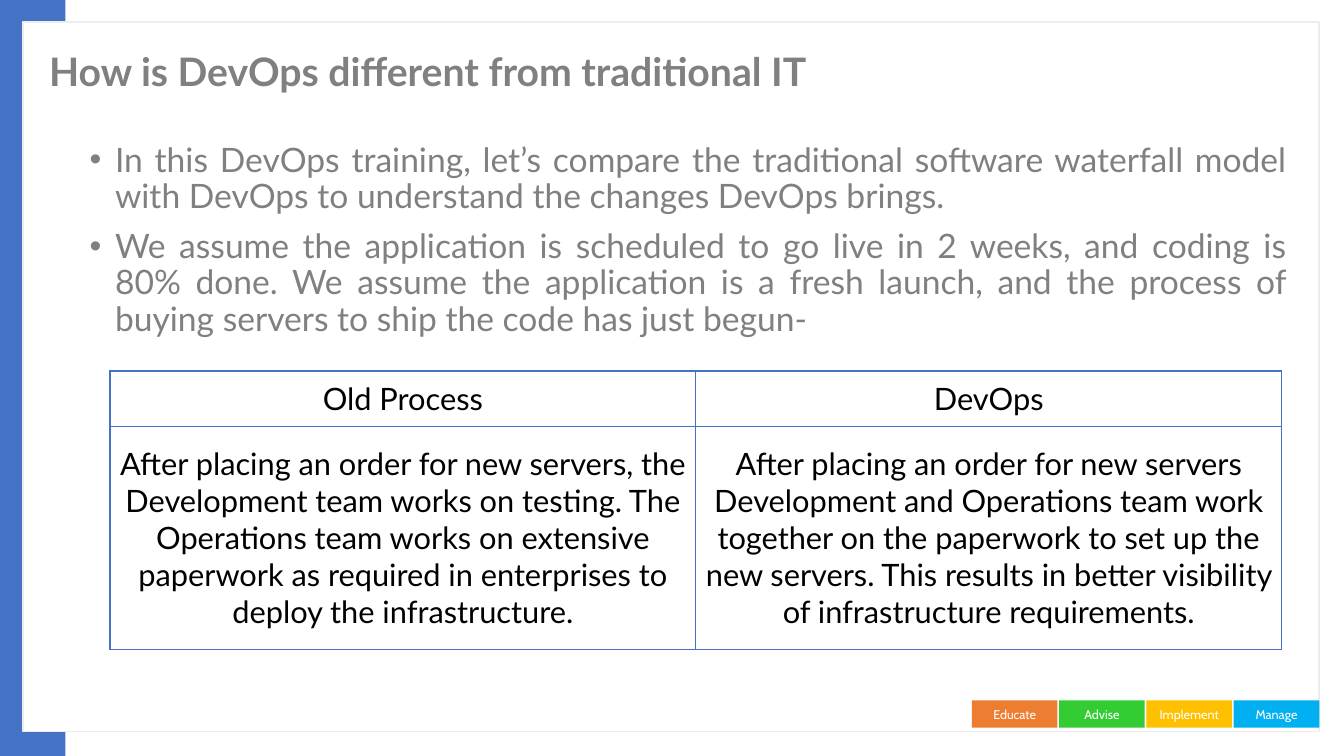
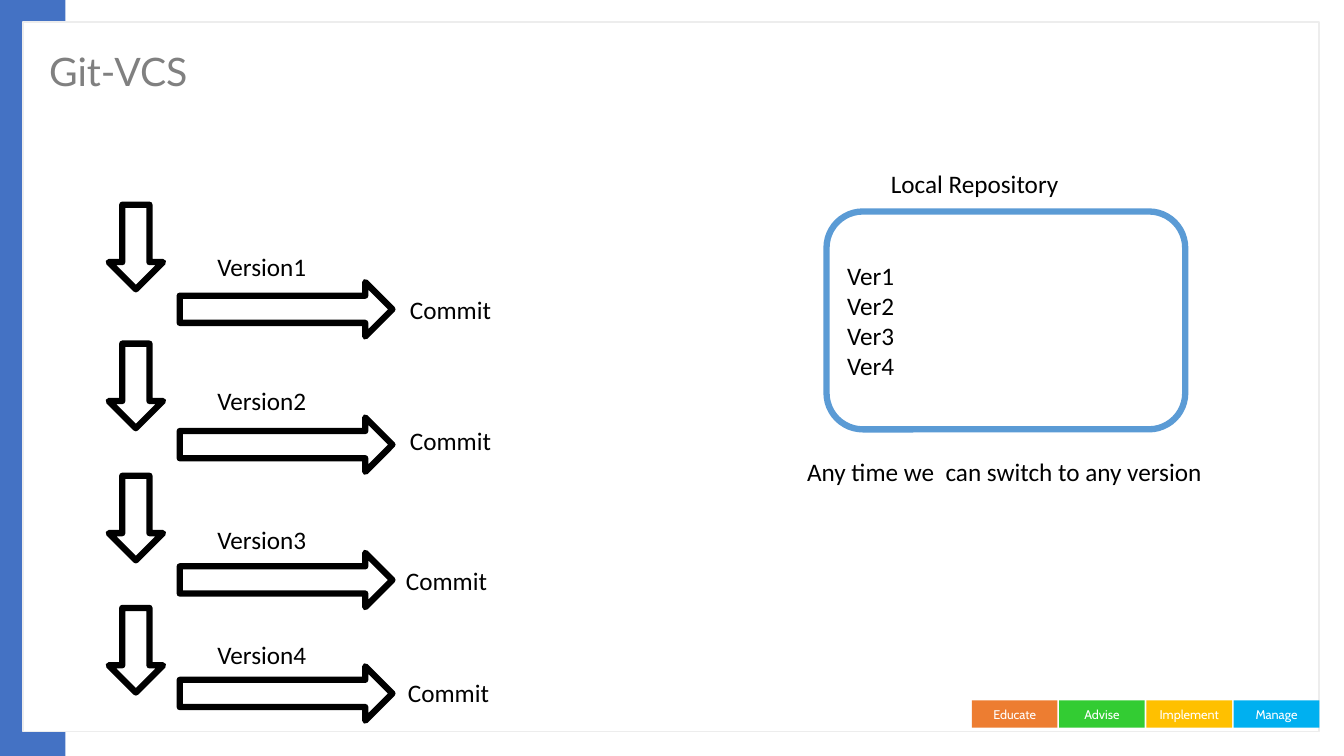
from dataclasses import dataclass

from lxml import etree
from pptx import Presentation, util as u
from pptx.dml.color import RGBColor
from pptx.enum import shapes, text
from pptx.oxml import ns

Cm, Pt = u.Cm, u.Pt
SHAPE, ALIGN, ANCHOR = shapes.MSO_SHAPE, text.PP_ALIGN, text.MSO_ANCHOR

# Content
COMPARE_TITLE = "How is DevOps different from traditional IT"
COMPARE_POINTS = [
    "In this DevOps training, let’s compare the traditional software waterfall model "
    "with DevOps to understand the changes DevOps brings.",
    "We assume the application is scheduled to go live in 2 weeks, and coding is 80% done. "
    "We assume the application is a fresh launch, and the process of buying servers to ship "
    "the code has just begun-",
]
PROCESSES = [
    ("Old Process", "DevOps"),
    ("After placing an order for new servers, the Development team works on testing. "
     "The Operations team works on extensive paperwork as required in enterprises to "
     "deploy the infrastructure.",
     "After placing an order for new servers Development and Operations team work together "
     "on the paperwork to set up the new servers. This results in better visibility of "
     "infrastructure requirements."),
]
PROCESS_HEIGHTS = [1.4, 5.61]

GIT_TITLE = "Git-VCS"
# version, top of its down arrow, label, commit arrow; left and top of "Commit"
VERSIONS = [
    ("Version1", 5.16, 6.22, 7.11, 10.08, 7.29),
    ("Version2", 8.66, 9.58, 10.52, 10.08, 10.59),
    ("Version3", 11.99, 13.08, 13.93, 9.98, 14.12),
    ("Version4", 15.32, 15.98, 16.79, 10.03, 16.94),
]
STORED = ["Ver1", "Ver2", "Ver3", "Ver4"]
REPOSITORY = "Local Repository"
SWITCH_NOTE = "Any time we  can switch to any version"

TAGS = [("Educate", "ED7D31"), ("Advise", "33CC33"),
        ("Implement", "FFC000"), ("Manage", "00B0F0")]


@dataclass(frozen=True)
class Theme:
    accent: str = "4472C4"
    repository: str = "5B9BD5"
    frame: str = "EDEDED"
    grey: str = "808080"
    black: str = "000000"
    white: str = "FFFFFF"
    main_font: str = "Lato"
    diagram_font: str = "Calibri"
    tag_font: str = "Cabin"
    title: float = 28
    body: float = 24
    table: float = 22
    diagram: float = 18
    tag: float = 9
    heavy: float = 4.5


T = Theme()
TITLE_STYLE = (T.main_font, T.title, T.grey)
BODY_STYLE = (T.main_font, T.body, T.grey)
TABLE_STYLE = (T.main_font, T.table, T.black)
DIAGRAM_STYLE = (T.diagram_font, T.diagram, T.black)
TAG_STYLE = (T.tag_font, T.tag, T.white)


# Helpers
def rgb(code):
    return RGBColor.from_string(code)


def write(frame, lines, style, align=ALIGN.LEFT, anchor=ANCHOR.TOP, bold=False):
    font, size, color = style
    frame.word_wrap = True
    frame.vertical_anchor = anchor
    for i, line in enumerate(lines):
        paragraph = frame.add_paragraph() if i else frame.paragraphs[0]
        paragraph.alignment = align
        run = paragraph.add_run()
        run.text = line
        run.font.name, run.font.size, run.font.bold = font, Pt(size), bold
        run.font.color.rgb = rgb(color)
    return frame.paragraphs


def add_text(slide, box, lines, style, **options):
    label = slide.shapes.add_textbox(*map(Cm, box))
    return write(label.text_frame, lines, style, **options)


def add_block(slide, kind, box, fill, line=None, width=1):
    block = slide.shapes.add_shape(kind, *map(Cm, box))
    block.shadow.inherit = False
    block.fill.solid()
    block.fill.fore_color.rgb = rgb(fill)
    if line:
        block.line.color.rgb = rgb(line)
        block.line.width = Pt(width)
    else:
        block.line.fill.background()
    return block


def add_bullet(paragraph):
    props = paragraph._p.get_or_add_pPr()
    props.set("marL", str(Cm(0.64)))
    props.set("indent", str(-Cm(0.64)))
    etree.SubElement(props, ns.qn("a:buFont"), typeface="Arial")
    etree.SubElement(props, ns.qn("a:buChar"), char="•")


def outline_cell(cell, color):
    props = cell._tc.get_or_add_tcPr()
    for i, side in enumerate(("lnL", "lnR", "lnT", "lnB")):
        border = etree.Element(ns.qn("a:" + side), w=str(Pt(1)))
        fill = etree.SubElement(border, ns.qn("a:solidFill"))
        etree.SubElement(fill, ns.qn("a:srgbClr"), val=color)
        props.insert(i, border)


# Shared slide: side band, frame, footer tags and title
def new_slide(deck, title, bold=False):
    slide = deck.slides.add_slide(deck.slide_layouts[6])
    add_block(slide, SHAPE.RECTANGLE, (0, 0, 1.65, 19.05), T.accent)
    add_block(slide, SHAPE.RECTANGLE, (0.58, 0.56, 32.66, 17.88), T.white, T.frame)
    for i, (name, color) in enumerate(TAGS):
        tag = add_block(slide, SHAPE.RECTANGLE, (24.49 + i * 2.2, 17.65, 2.16, 0.69), color)
        write(tag.text_frame, [name], TAG_STYLE, ALIGN.CENTER, ANCHOR.MIDDLE)
    heading, = add_text(slide, (0.99, 0.76, 26.21, 2.21), [title], TITLE_STYLE,
                        anchor=ANCHOR.MIDDLE, bold=bold)
    heading.line_spacing = 0.9
    return slide


def build_comparison(deck):
    slide = new_slide(deck, COMPARE_TITLE, bold=True)
    for point in add_text(slide, (2.01, 3.48, 30.66, 5.6), COMPARE_POINTS, BODY_STYLE,
                          align=ALIGN.JUSTIFY):
        point.line_spacing = 0.9
        point.space_before = Pt(10)
        add_bullet(point)

    # Process table
    table = slide.shapes.add_table(len(PROCESSES), len(PROCESSES[0]), Cm(2.77), Cm(9.35),
                                   Cm(29.53), Cm(sum(PROCESS_HEIGHTS))).table
    table.first_row = table.horz_banding = False
    for r, (row, height) in enumerate(zip(PROCESSES, PROCESS_HEIGHTS)):
        table.rows[r].height = Cm(height)
        for c, words in enumerate(row):
            cell = table.cell(r, c)
            cell.fill.background()
            write(cell.text_frame, [words], TABLE_STYLE, ALIGN.CENTER)
            cell.vertical_anchor = ANCHOR.MIDDLE
            outline_cell(cell, T.accent)


def build_versions(deck):
    slide = new_slide(deck, GIT_TITLE)

    # Repository
    store = add_block(slide, SHAPE.ROUNDED_RECTANGLE, (20.83, 5.33, 9.04, 5.49),
                      T.white, T.repository, T.heavy)
    write(store.text_frame, STORED, DIAGRAM_STYLE, anchor=ANCHOR.MIDDLE)
    add_text(slide, (22.2, 4.11, 6.32, 1.02), [REPOSITORY], DIAGRAM_STYLE)
    add_text(slide, (20.09, 11.38, 12.55, 1.02), [SWITCH_NOTE], DIAGRAM_STYLE)

    # Versions and their commits
    for name, down_top, name_top, arrow_top, commit_left, commit_top in VERSIONS:
        for kind, box in ((SHAPE.DOWN_ARROW, (2.74, down_top, 1.37, 2.13)),
                          (SHAPE.RIGHT_ARROW, (4.53, arrow_top, 5.36, 1.37))):
            add_block(slide, kind, box, T.white, T.black, T.heavy)
        add_text(slide, (5.23, name_top, 2.95, 1.02), [name], DIAGRAM_STYLE)
        add_text(slide, (commit_left, commit_top, 2.95, 1.02), ["Commit"], DIAGRAM_STYLE)


def main():
    deck = Presentation()
    deck.slide_width, deck.slide_height = Cm(33.87), Cm(19.05)
    build_comparison(deck)
    build_versions(deck)
    deck.save("out.pptx")


if __name__ == "__main__":
    main()
